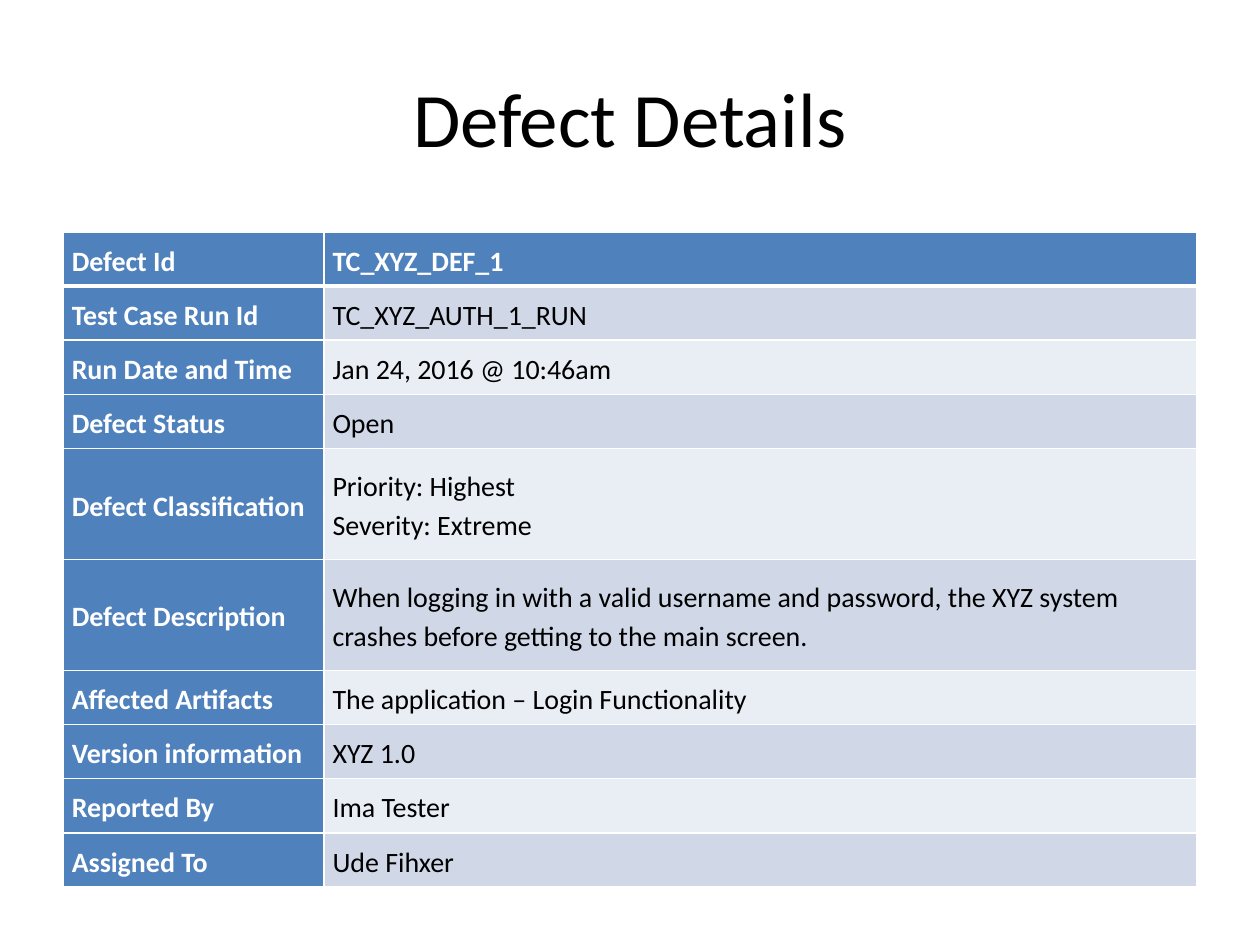
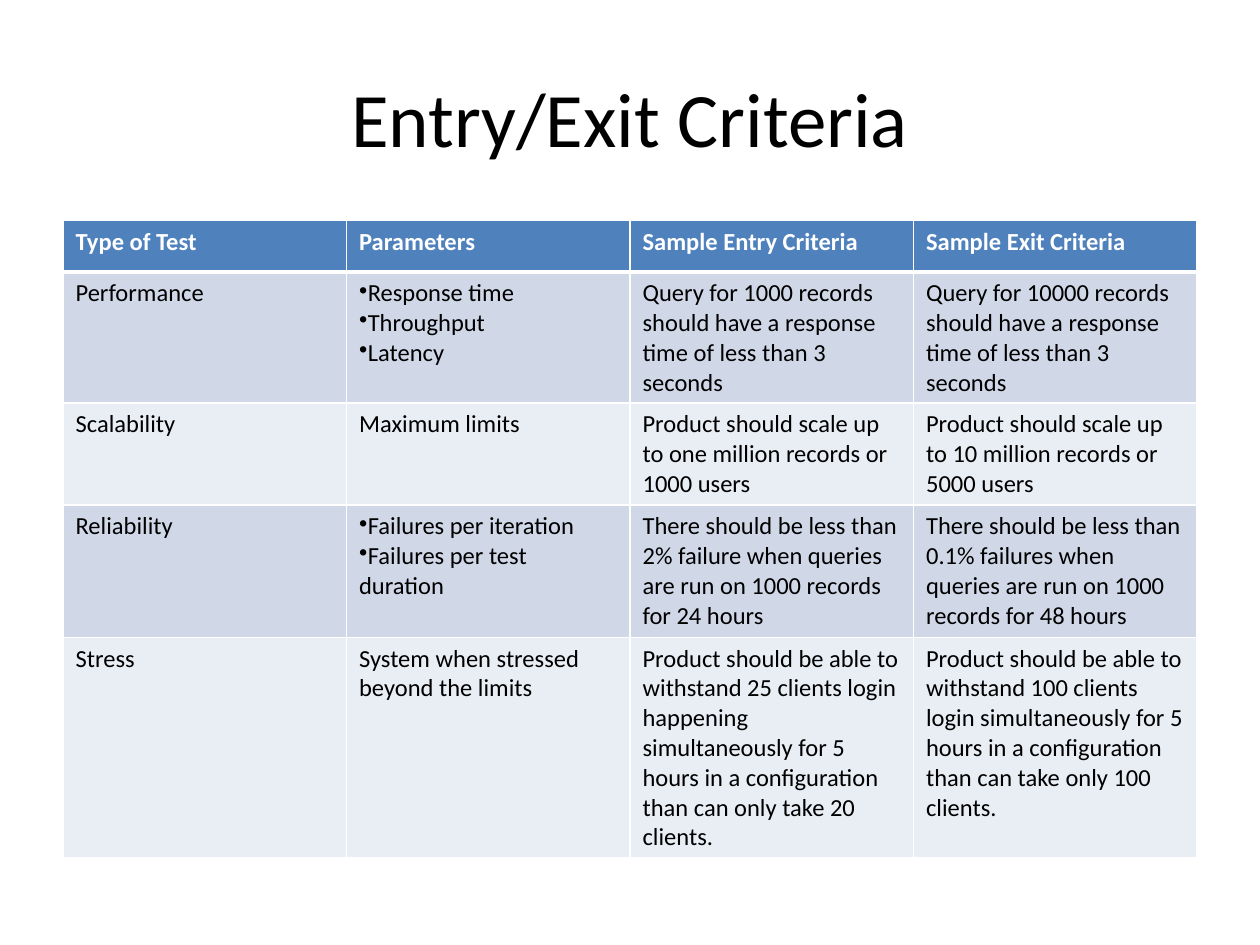
"""Build two slides on defect details and entry/exit criteria."""
from dataclasses import dataclass
from typing import Optional

from lxml import etree
from pptx import Presentation
from pptx.dml.color import RGBColor
from pptx.enum import text
from pptx.oxml.ns import qn
from pptx.util import Inches, Pt

COLORS = {
    "head": "4F81BD",
    "band_dark": "D0D8E8",
    "band_light": "E9EDF4",
    "border": "FFFFFF",
    "head_text": "FFFFFF",
    "text": "000000",
}
FONT = "Calibri"
LEFT, WIDTH = 0.5, 9
BULLET = "\u2022"


@dataclass
class TableSpec:
    title: str
    top: float
    cols: list[float]
    heights: list[float]
    rows: list[list[str]]
    size: int
    inset: tuple[float, float]
    anchor: text.MSO_ANCHOR = text.MSO_ANCHOR.TOP
    spacing: Optional[float] = None
    head_column: bool = False


def add_run(p, words: str, size: int, color: str, bold: bool = False) -> None:
    r = p.add_run()
    r.text = words
    r.font.name = FONT
    r.font.size = Pt(size)
    r.font.bold = bold
    r.font.color.rgb = RGBColor.from_string(COLORS[color])


def add_title(s, title: str) -> None:
    sp = s.shapes.add_textbox(Inches(LEFT), Inches(0.3), Inches(WIDTH), Inches(1.25))
    tf = sp.text_frame
    tf.word_wrap = True
    tf.vertical_anchor = text.MSO_ANCHOR.MIDDLE
    p = tf.paragraphs[0]
    p.alignment = text.PP_ALIGN.CENTER
    add_run(p, title, 44, "text")


def set_borders(cell, row: int) -> None:
    widths = {"L": 1, "R": 1, "T": 3 if row == 1 else 1, "B": 3 if row == 0 else 1}
    tc_pr = cell._tc.get_or_add_tcPr()
    for i, (side, width) in enumerate(widths.items()):
        ln = etree.Element(qn(f"a:ln{side}"), w=str(Pt(width)))
        fill = etree.SubElement(ln, qn("a:solidFill"))
        etree.SubElement(fill, qn("a:srgbClr"), val=COLORS["border"])
        tc_pr.insert(i, ln)


def fill_cell(cell, words: str, row: int, col: int, spec: TableSpec) -> None:
    head = row == 0 or (spec.head_column and col == 0)
    band = "band_dark" if row % 2 else "band_light"
    cell.fill.solid()
    cell.fill.fore_color.rgb = RGBColor.from_string(COLORS["head" if head else band])
    cell.margin_left = cell.margin_right = Inches(spec.inset[0])
    cell.margin_top = cell.margin_bottom = Inches(spec.inset[1])
    cell.vertical_anchor = spec.anchor
    tf = cell.text_frame
    for i, line in enumerate(words.split("\n")):
        p = tf.paragraphs[0] if i == 0 else tf.add_paragraph()
        p.line_spacing = spec.spacing
        if line.startswith(BULLET):
            etree.SubElement(p._p.get_or_add_pPr(), qn("a:buChar"), char=BULLET)
        add_run(p, line.removeprefix(BULLET), spec.size,
                "head_text" if head else "text", head)
    set_borders(cell, row)


def add_table_slide(prs, spec: TableSpec) -> None:
    s = prs.slides.add_slide(prs.slide_layouts[6])
    add_title(s, spec.title)
    table = s.shapes.add_table(
        len(spec.rows), len(spec.cols), Inches(LEFT), Inches(spec.top),
        Inches(WIDTH), Inches(sum(spec.heights))).table
    table.horz_banding = False
    table.first_col = spec.head_column
    for column, width in zip(table.columns, spec.cols):
        column.width = Inches(width)
    for i, (height, row) in enumerate(zip(spec.heights, spec.rows)):
        table.rows[i].height = Inches(height)
        for j, words in enumerate(row):
            fill_cell(table.cell(i, j), words, i, j, spec)


DEFECT = TableSpec(
    title="Defect Details",
    top=1.84,
    cols=[2.07, 6.93],
    heights=[0.43] * 4 + [0.88] * 2 + [0.43] * 4,
    rows=[
        ["Defect Id", "TC_XYZ_DEF_1"],
        ["Test Case Run Id", "TC_XYZ_AUTH_1_RUN"],
        ["Run Date and Time", "Jan 24, 2016 @ 10:46am"],
        ["Defect Status", "Open"],
        ["Defect Classification", "Priority: Highest\nSeverity: Extreme"],
        ["Defect Description",
         "When logging in with a valid username and password, the XYZ system "
         "crashes before getting to the main screen."],
        ["Affected Artifacts", "The application \u2013 Login Functionality"],
        ["Version information", "XYZ 1.0"],
        ["Reported By", "Ima Tester"],
        ["Assigned To", "Ude Fihxer"],
    ],
    size=16,
    inset=(0.07, 0),
    anchor=text.MSO_ANCHOR.MIDDLE,
    spacing=1.15,
    head_column=True,
)

CRITERIA = TableSpec(
    title="Entry/Exit Criteria",
    top=1.75,
    cols=[WIDTH / 4] * 4,
    heights=[0.41, 1.04, 0.81, 1.05, 1.75],
    rows=[
        ["Type of Test", "Parameters", "Sample Entry Criteria", "Sample Exit Criteria"],
        ["Performance",
         "\u2022Response time\n\u2022Throughput\n\u2022Latency",
         "Query for 1000 records should have a response time of less than 3 seconds",
         "Query for 10000 records should have a response time of less than 3 seconds"],
        ["Scalability",
         "Maximum limits",
         "Product should scale up to one million records or 1000 users",
         "Product should scale up to 10 million records or 5000 users"],
        ["Reliability",
         "\u2022Failures per iteration\n\u2022Failures per test duration",
         "There should be less than 2% failure when queries are run on 1000 records "
         "for 24 hours",
         "There should be less than 0.1% failures when queries are run on 1000 records "
         "for 48 hours"],
        ["Stress",
         "System when stressed beyond the limits",
         "Product should be able to withstand 25 clients login happening simultaneously "
         "for 5 hours in a configuration than can only take 20 clients.",
         "Product should be able to withstand 100 clients login simultaneously "
         "for 5 hours in a configuration than can take only 100 clients."],
    ],
    size=14,
    inset=(0.1, 0.05),
)


def main() -> None:
    prs = Presentation()
    prs.slide_width, prs.slide_height = Inches(10), Inches(7.5)
    for spec in (DEFECT, CRITERIA):
        add_table_slide(prs, spec)
    prs.save("out.pptx")


main()
